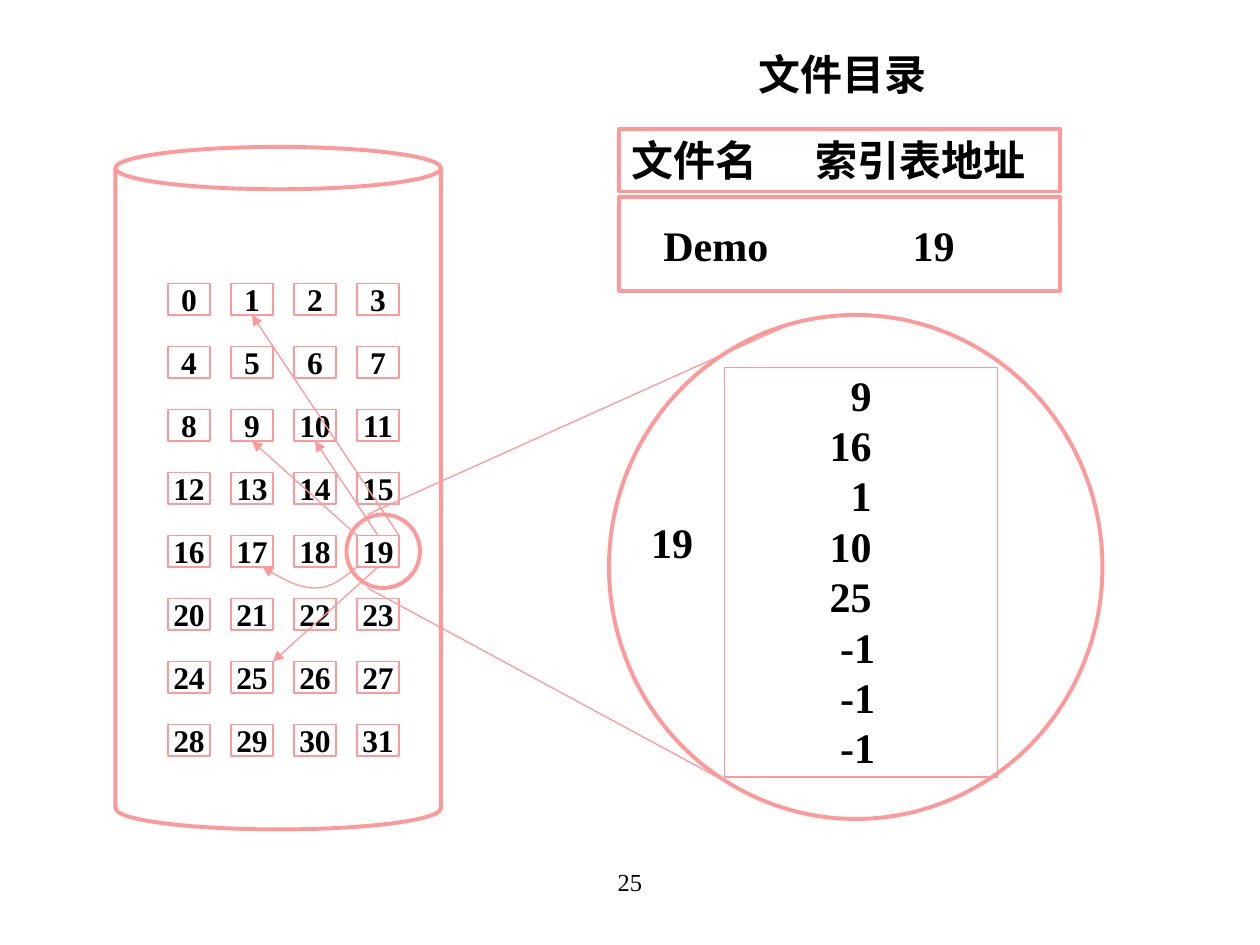
import pptx
import pptx.dml.color
import pptx.enum.shapes
import pptx.enum.text
import pptx.oxml
import pptx.oxml.ns
import pptx.util
from lxml import etree

Pt = pptx.util.Pt
qn = pptx.oxml.ns.qn
KIND = pptx.enum.shapes.MSO_SHAPE
ALIGN = pptx.enum.text.PP_ALIGN
ANCHOR = pptx.enum.text.MSO_ANCHOR
PINK = pptx.dml.color.RGBColor(0xFF, 0x99, 0x99)
BLACK = pptx.dml.color.RGBColor(0, 0, 0)
FONT = "Times New Roman"
THIN, THICK = 0.75, 2.25
LEAD = 28.8  # line pitch of the 24 pt Latin text

# Disk blocks, numbered row by row
COLS, ROWS = 4, 8
LEFT, TOP, STEP = 96, 162, 36
WIDE, HIGH = 24, 18
HUB = 19
# Corner of the index block, target block, corner of the target
LINKS = [
    ((1, 0), 1, (0.5, 1)),
    ((0.5, 0), 10, (0.5, 1)),
    ((0, 0), 9, (0.5, 1)),
    ((0.5, 1), 25, (1, 0)),
]
# Two Bezier pieces from block 19 to block 17
CURVE = [(204, 324), (196.5, 330), (189.5, 336), (180, 336),
         (171, 336), (160.5, 330), (150, 324)]

# Index table: value and left indent
INDEX = [("9", 12), ("16", 0), ("1", 12), ("10", 0), ("25", 0),
         ("-1", 6), ("-1", 6), ("-1", 6)]
# Text, box, tab stop, line pitch
LABELS = [
    ("文件目录", (426.4, 24, 120, 36), None, None),
    ("文件名\t索引表地址", (354, 73.5, 252, 36), 105, None),
    ("Demo\t19", (372, 122, 210, 36), 142.5, LEAD),
    ("19", (365, 291.6, 46, 36), None, LEAD),
]
OUTLINES = [
    (KIND.CAN, (66, 84, 186, 390), THICK),
    (KIND.RECTANGLE, (354, 73.5, 252, 36), THICK),
    (KIND.RECTANGLE, (354, 112.5, 252, 54), THICK),
    (KIND.OVAL, (198, 294, 42, 42), THICK),
    (KIND.RECTANGLE, (414, 210, 156, 234), THIN),
    (KIND.OVAL, (348, 180, 282, 288), THICK),
]
ZOOM = [((210, 294), (450, 186)), ((210, 336), (432, 456))]

deck = pptx.Presentation()
deck.slide_width, deck.slide_height = Pt(720), Pt(540)
slide = deck.slides.add_slide(deck.slide_layouts[6])
shapes = slide.shapes


def pts(nums):
    return [Pt(n) for n in nums]


def style(para, size, bold=True):
    font = para.font
    font.name, font.size, font.bold = FONT, Pt(size), bold
    font.color.rgb = BLACK


def outline(kind, box, width):
    shape = shapes.add_shape(kind, *pts(box))
    shape.shadow.inherit = False
    shape.fill.background()
    shape.line.color.rgb, shape.line.width = PINK, Pt(width)
    return shape


def arrow(item):
    """Put an arrowhead on the end of a line."""
    etree.SubElement(item.line._get_or_add_ln(), qn("a:tailEnd"), type="triangle")


def link(start, end):
    line = shapes.add_connector(
        pptx.enum.shapes.MSO_CONNECTOR.STRAIGHT, *pts(start + end))
    line.line.color.rgb, line.line.width = PINK, Pt(THIN)
    etree.SubElement(line._element.spPr, qn("a:effectLst"))
    return line


def spot(num, frac):
    """Point on a block, as fractions of its width and height."""
    row, col = divmod(num, COLS)
    return (LEFT + col * STEP + frac[0] * WIDE, TOP + row * STEP + frac[1] * HIGH)


def label(text, box, stop=None, lead=None):
    frame = shapes.add_textbox(*pts(box)).text_frame
    frame.word_wrap = True
    para = frame.paragraphs[0]
    para.text = text
    style(para, 24)
    if lead:
        para.line_spacing = Pt(lead)
    if stop:
        tabs = etree.SubElement(para._p.get_or_add_pPr(), qn("a:tabLst"))
        etree.SubElement(tabs, qn("a:tab"), pos=str(Pt(stop)), algn="l")
        # The tab list must come before the font defaults
        tabs.getparent().find(qn("a:defRPr")).addprevious(tabs)


def curve(points):
    """Draw Bezier pieces: a start, then three points for each piece."""
    build = shapes.build_freeform(*points[0], scale=pptx.util.Length(12700))
    build.add_line_segments(points[1:], close=False)
    shape = build.convert_to_shape()
    shape.shadow.inherit = False
    shape.fill.background()
    shape.line.color.rgb, shape.line.width = PINK, Pt(THIN)
    steps = list(shape._element.iter(qn("a:lnTo")))
    for i in range(0, len(steps), 3):
        piece = etree.Element(qn("a:cubicBezTo"))
        steps[i].addprevious(piece)
        for step in steps[i:i + 3]:
            piece.append(step[0])
            step.getparent().remove(step)
    return shape


for num in range(COLS * ROWS):
    cell = outline(KIND.RECTANGLE, spot(num, (0, 0)) + (WIDE, HIGH), THIN)
    frame = cell.text_frame
    frame.word_wrap = False
    frame.vertical_anchor = ANCHOR.MIDDLE
    para = frame.paragraphs[0]
    para.text, para.alignment = str(num), ALIGN.CENTER
    style(para, 18)

for kind, box, width in OUTLINES:
    shape = outline(kind, box, width)
    if kind == KIND.CAN:
        shape.adjustments[0] = 0.13

for near, num, far in LINKS:
    arrow(link(spot(HUB, near), spot(num, far)))
arrow(curve(CURVE))
for start, end in ZOOM:
    link(start, end)

for item in LABELS:
    label(*item)

frame = shapes.add_textbox(*pts((467, 207.4, 50, 237.6))).text_frame
frame.word_wrap = True
for i, (text, indent) in enumerate(INDEX):
    para = frame.add_paragraph() if i else frame.paragraphs[0]
    para.text, para.line_spacing = text, Pt(LEAD)
    style(para, 24)
    para._p.get_or_add_pPr().set("marL", str(Pt(indent)))

page = shapes.add_textbox(*pts((246, 492, 228, 36))).text_frame.paragraphs[0]
page.text, page.alignment = "25", ALIGN.CENTER
style(page, 14, False)

deck.save("out.pptx")
